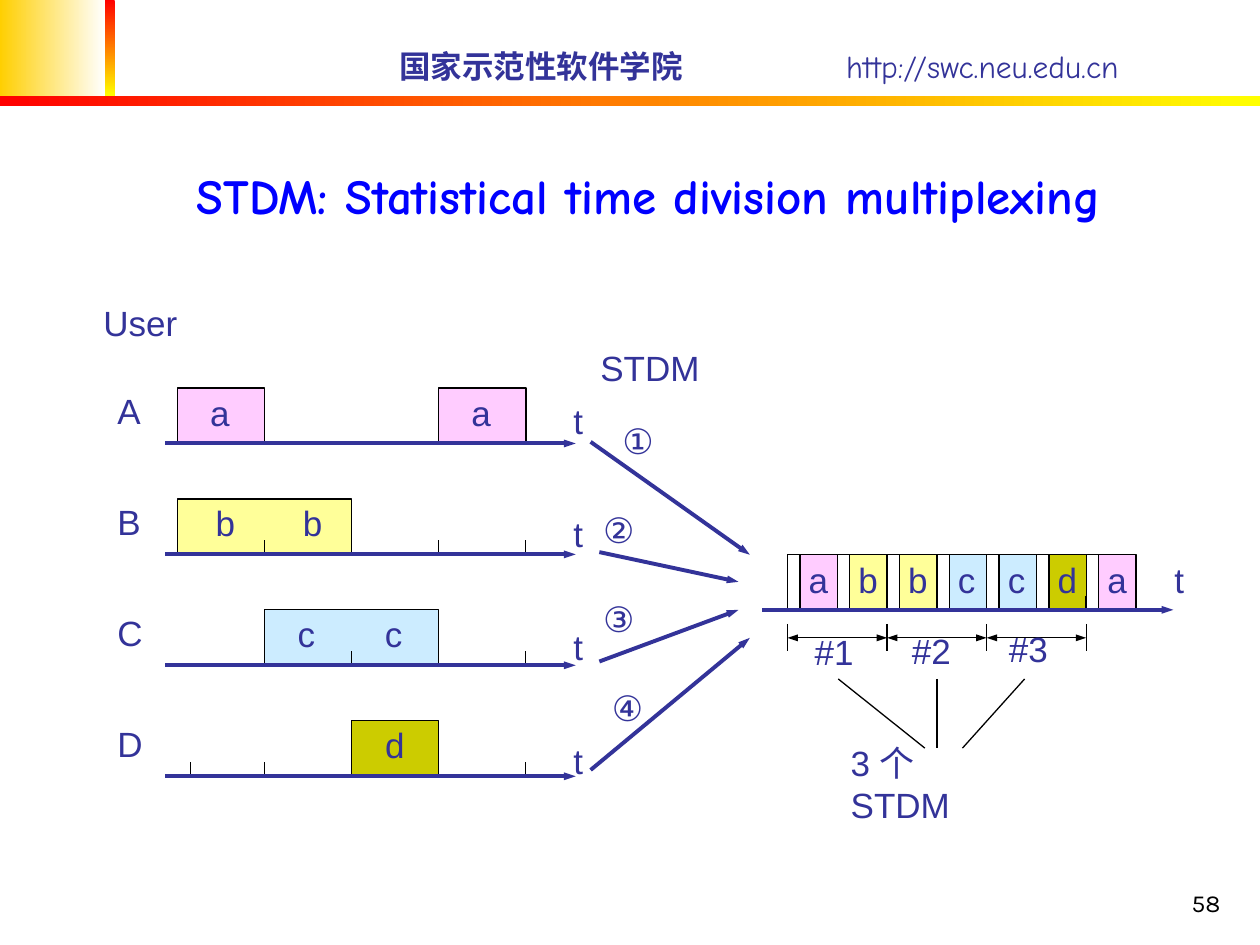
import pptx
import pptx.util
import pptx.dml.color
import pptx.enum.shapes
import pptx.enum.text
import lxml.etree

Pt = pptx.util.Pt
Anchor = pptx.enum.text.MSO_ANCHOR
Align = pptx.enum.text.PP_ALIGN
NS = "http://schemas.openxmlformats.org/drawingml/2006/main"

HUES = {
    "ink": "333399", "title": "0000FF", "black": "000000", "white": "FFFFFF",
    "gold": "FFCF01", "red": "FF0000", "yellow": "FFFF00",
    "a": "FFCCFF", "b": "FFFF99", "c": "CCECFF", "d": "CCCC00",
}

# User time lines: left edge, slot width, first base line, row gap, block height
LEFT, SLOT, BASE, GAP, HIGH = 101.5, 49.75, 253.4, 63.4, 31.7
# Shared line: left edge, pitch, address width, base line
START, PITCH, HEAD, LOW = 450, 28.45, 7.1, 348.5

# name, letter, first slots of blocks, slots per block, letter inset, ticks
USERS = [
    ("A", "a", [0, 3], 1, 11.5, []),
    ("B", "b", [0], 2, 14.7, [1, 3, 4]),
    ("C", "c", [1], 2, 11.8, [2, 4]),
    ("D", "d", [2], 1, 12, [0.15, 1, 4]),
]


def rgb(hue):
    return pptx.dml.color.RGBColor.from_string(HUES[hue])


def node(owner, tag, **attrs):
    return lxml.etree.SubElement(owner, f"{{{NS}}}{tag}", **attrs)


def style(font, size, face, hue, bold=False):
    font.size, font.name, font.bold = Pt(size), face, bold
    font.color.rgb = rgb(hue)


def band(slide, x, y, w, h, first, last, angle=0):
    kind = pptx.enum.shapes.MSO_SHAPE.RECTANGLE
    bar = slide.shapes.add_shape(kind, Pt(x), Pt(y), Pt(w), Pt(h))
    bar.shadow.inherit = False
    bar.line.fill.background()
    bar.fill.gradient()
    bar.fill.gradient_angle = angle
    for stop, hue in zip(bar.fill.gradient_stops, (first, last)):
        stop.color.rgb = rgb(hue)


def box(slide, x, y, w, h, wrap=True):
    frame = slide.shapes.add_textbox(Pt(x), Pt(y), Pt(w), Pt(h)).text_frame
    frame.word_wrap = wrap
    return frame


def label(slide, text, x, y, w=26, wrap=False):
    frame = box(slide, x, y, w, 31, wrap)
    frame.auto_size = pptx.enum.text.MSO_AUTO_SIZE.SHAPE_TO_FIT_TEXT
    para = frame.paragraphs[0]
    para.text = text
    style(para.font, 20, "Arial", "ink")
    return frame


def line(slide, x1, y1, x2, y2, hue="black", width=0.75, ends=()):
    kind = pptx.enum.shapes.MSO_CONNECTOR.STRAIGHT
    link = slide.shapes.add_connector(kind, Pt(x1), Pt(y1), Pt(x2), Pt(y2))
    link.line.color.rgb = rgb(hue)
    link.line.width = Pt(width)
    props = link._element.spPr
    for end in ends:
        node(props.get_or_add_ln(), end, type="triangle", w="sm")
    node(props, "effectLst")


def arrow(slide, x1, y1, x2, y2):
    line(slide, x1, y1, x2, y2, "ink", 2.25, ["tailEnd"])


def block(slide, x, base, w, hue=None):
    """Draw a pulse that is open at its base line."""
    top = base - HIGH
    path = slide.shapes.build_freeform(Pt(x), Pt(base))
    path.add_line_segments(
        [(Pt(x), Pt(top)), (Pt(x + w), Pt(top)), (Pt(x + w), Pt(base))],
        close=False)
    pulse = path.convert_to_shape()
    pulse.shadow.inherit = False
    if hue:
        pulse.fill.solid()
        pulse.fill.fore_color.rgb = rgb(hue)
    else:
        pulse.fill.background()
    pulse.line.color.rgb = rgb("black")
    pulse.line.width = Pt(0.75)


def frame(slide):
    # Coloured bands
    band(slide, 0, 0, 60, 55, "gold", "white")
    band(slide, 60, 0, 5.5, 55, "red", "yellow", 270)
    band(slide, 0, 55, 720, 5.5, "red", "yellow")

    # School name and address
    head = box(slide, 221, 23, 482, 29)
    head.vertical_anchor = Anchor.MIDDLE
    para = head.paragraphs[0]
    tabs = node(para._p.get_or_add_pPr(), "tabLst")
    node(tabs, "tab", pos=str(Pt(255.5)), algn="l")
    style(para.font, 18, "Comic Neue", "ink")
    name = para.add_run()
    name.text = "国家示范性软件学院"
    name.font.bold = True
    para.add_run().text = "\thttp://swc.neu.edu.cn"

    # Page number
    page = box(slide, 554.5, 492, 150, 36)
    page.vertical_anchor = Anchor.BOTTOM
    para = page.paragraphs[0]
    para.text, para.alignment = "58", Align.RIGHT
    style(para.font, 14, "Karla", "black")

    # Title
    title = slide.shapes.title
    title.left, title.top, title.width, title.height = (
        Pt(11), Pt(71.5), Pt(719), Pt(60.5))
    title.text_frame.vertical_anchor = Anchor.BOTTOM
    para = title.text_frame.paragraphs[0]
    para.text = "STDM: Statistical time division multiplexing"
    para.alignment = Align.CENTER
    style(para.font, 28, "Comic Neue", "title", True)


def users(slide):
    label(slide, "User", 52, 168.5, 57.5)
    for row, (name, mark, firsts, span, inset, ticks) in enumerate(USERS):
        base = BASE + row * GAP
        label(slide, name, 60, base - 34.5, 28.5)
        for first in firsts:
            block(slide, LEFT + first * SLOT, base, span * SLOT, mark)
            for slot in range(first, first + span):
                label(slide, mark, LEFT + slot * SLOT + inset, base - 33.5)
        for tick in ticks:
            x = LEFT + tick * SLOT
            line(slide, x, base - 8, x, base)
        arrow(slide, 94.5, base, 329, base)
        label(slide, "t", 320.5, 224.5 + row * 64.8, 20)


def links(slide):
    label(slide, "STDM", 336, 194.5, 72)
    for ends in [(337.5, 252.5, 428.5, 317), (342.5, 315.5, 422, 332.5),
                 (342.5, 378, 422, 348.5), (337.5, 440, 428.5, 364.5)]:
        arrow(slide, *ends)
    for mark, x, y in [("①", 348.5, 236), ("②", 337.5, 287),
                       ("③", 337.5, 338), ("④", 342.5, 389)]:
        label(slide, mark, x, y, 34.5)


def shared(slide):
    # Address and data of each slot
    for place, mark in enumerate("abbccda"):
        x = START + place * PITCH
        block(slide, x + HEAD, LOW, PITCH - HEAD, mark)
        block(slide, x, LOW, HEAD)
        label(slide, mark, x + 5, 315.5)
    for x in (514, 535.5, 620.5):
        line(slide, x, LOW - 8, x, LOW)
    arrow(slide, 435.5, LOW, 670.5, LOW)
    label(slide, "t", 664, 315.5, 20)

    # Frames of two slots
    edges = [START + 2 * PITCH * k for k in range(4)]
    for x in edges:
        line(slide, x, 356.5, x, 372)
    for x1, x2 in zip(edges, edges[1:]):
        line(slide, x1, 364.5, x2, 364.5, ends=["headEnd", "tailEnd"])
    for k in range(3):
        label(slide, f"#{k + 1}", 458.5 + 55.5 * k, 357 - k, 36.5)

    # Callout
    for x1, x2 in [(479, 528.5), (535.5, 535.5), (585.5, 550)]:
        line(slide, x1, 388, x2, 427.5)
    note = label(slide, "3 个 STDM", 479, 420, 114.5, True)
    note.margin_right = Pt(30)


def main():
    deck = pptx.Presentation()
    deck.slide_width, deck.slide_height = Pt(720), Pt(540)
    slide = deck.slides.add_slide(deck.slide_layouts[5])
    for part in (frame, users, links, shared):
        part(slide)
    deck.save("out.pptx")


if __name__ == "__main__":
    main()
